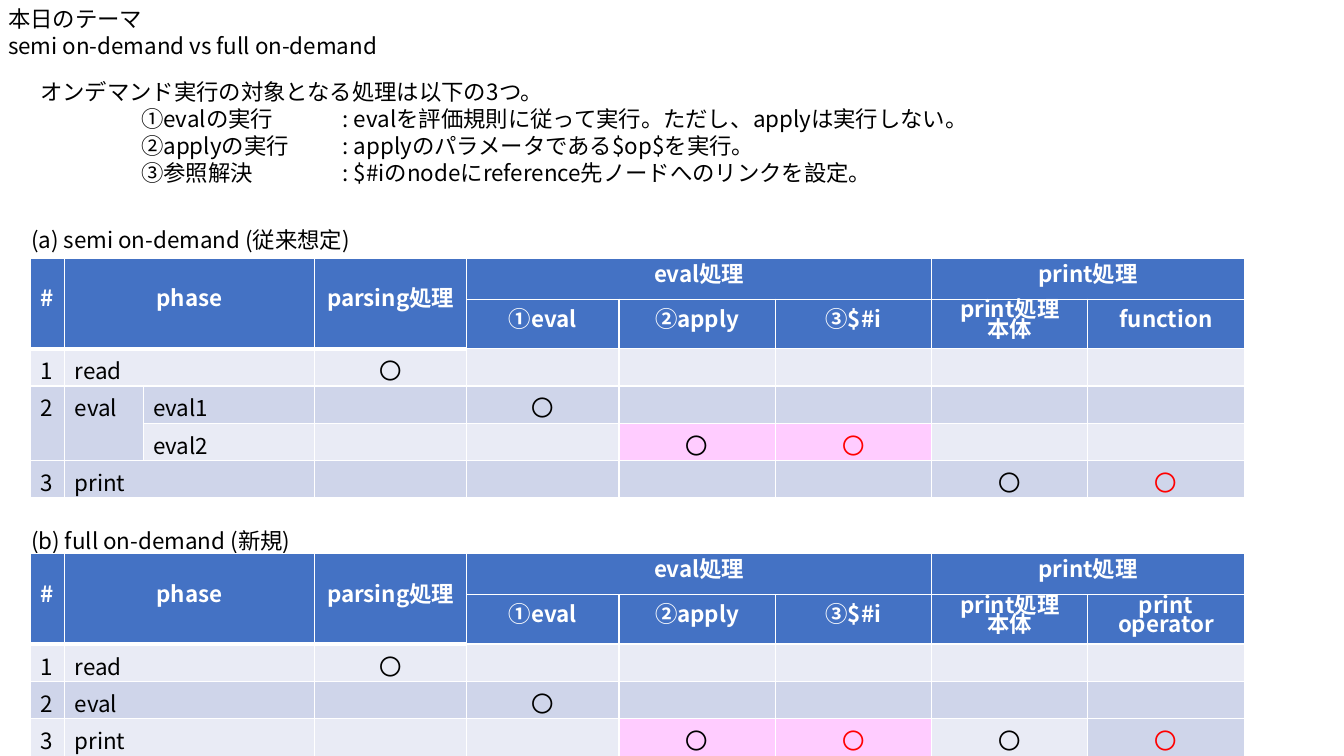
from dataclasses import dataclass

from lxml.etree import SubElement
from pptx import Presentation
from pptx.dml.color import RGBColor as RGB
from pptx.enum.text import MSO_ANCHOR as Anchor, MSO_AUTO_SIZE as AutoSize, PP_ALIGN as Align
from pptx.oxml.ns import qn
from pptx.util import Inches, Pt


@dataclass(frozen=True)
class Theme:
    font: str = "Noto Sans CJK JP"
    size: int = 16
    header_leading: int = 14
    text: str = "000000"
    inverse: str = "FFFFFF"
    alert: str = "FF0000"
    header: str = "4472C4"
    light: str = "E9EBF5"
    dark: str = "CFD5EA"
    highlight: str = "FFCCFF"
    border: str = "FFFFFF"
    thin: float = 1
    thick: float = 3


MARK = "〇"
HEADER_ROWS = 2


class SlideBuilder:
    def __init__(self, slide, theme):
        self.slide = slide
        self.theme = theme

    def style(self, paragraph, color=None, bold=False):
        for run in paragraph.runs:
            font = run.font
            font.name, font.size, font.bold = self.theme.font, Pt(self.theme.size), bold
            font.color.rgb = RGB.from_string(color or self.theme.text)
            SubElement(run._r.rPr, qn("a:ea"), typeface=self.theme.font)
        if not paragraph.runs:
            # An empty cell keeps the same line height as a filled one
            SubElement(paragraph._p, qn("a:endParaRPr"), sz=str(self.theme.size * 100))

    def fill_text(self, shape, text, box):
        shape.left, shape.top, shape.width, shape.height = map(Inches, box)
        frame = shape.text_frame
        frame.text = text
        frame.word_wrap = True
        frame.auto_size = AutoSize.NONE
        frame.vertical_anchor = Anchor.TOP
        for paragraph in frame.paragraphs:
            paragraph.alignment = Align.LEFT
            paragraph.line_spacing = 1.0
            paragraph.space_before = Pt(0)
            self.style(paragraph)
        return frame

    def title(self, text, box):
        self.fill_text(self.slide.shapes.title, text, box)

    def body(self, lead, items, box):
        frame = self.fill_text(self.slide.placeholders[1], "\n".join([lead, *items]), box)
        for number, paragraph in enumerate(frame.paragraphs):
            paragraph.level = 2 if number else 0
            props = paragraph._p.get_or_add_pPr()
            props.set("marL", str(Inches(1) if number else 0))
            props.set("indent", "0")
            props.set("defTabSz", str(Inches(1)))
            SubElement(props, qn("a:buNone"))

    def caption(self, text, box):
        self.fill_text(self.slide.shapes.add_textbox(0, 0, 0, 0), text, box)

    def borders(self, cell, bottom):
        props = cell._tc.get_or_add_tcPr()
        widths = dict.fromkeys(("lnL", "lnR", "lnT"), self.theme.thin) | {"lnB": bottom}
        for place, (side, width) in enumerate(widths.items()):
            line = SubElement(props, qn(f"a:{side}"), w=str(Pt(width)))
            solid = SubElement(line, qn("a:solidFill"))
            SubElement(solid, qn("a:srgbClr"), val=self.theme.border)
            props.insert(place, line)

    def table(self, top, columns, heights, rows, merges, red, fills):
        theme = self.theme
        table = self.slide.shapes.add_table(
            len(rows), len(columns), Inches(0.3), Inches(top),
            Inches(sum(columns)), Inches(sum(heights))).table
        for column, width in zip(table.columns, columns):
            column.width = Inches(width)
        for row, height in zip(table.rows, heights):
            row.height = Inches(height)
        tall_columns = {c for r, c, r2, c2 in merges if (r, r2) == (0, 1)
                        for c in range(c, c2 + 1)}
        for r, row in enumerate(rows):
            for c, text in enumerate(row):
                cell = table.cell(r, c)
                is_header = r < HEADER_ROWS
                band = theme.header if is_header else (theme.dark if r % 2 else theme.light)
                cell.fill.solid()
                cell.fill.fore_color.rgb = RGB.from_string(fills.get((r, c), band))
                self.borders(cell, theme.thick if is_header and c in tall_columns else theme.thin)
                cell.text_frame.text = text
                if is_header:
                    cell.vertical_anchor = Anchor.MIDDLE
                else:
                    cell.margin_bottom = Inches(0)
                color = theme.inverse if is_header else theme.alert if (r, c) in red else theme.text
                for paragraph in cell.text_frame.paragraphs:
                    paragraph.alignment = Align.CENTER if is_header or text == MARK else Align.LEFT
                    if is_header:
                        paragraph.line_spacing = Pt(theme.header_leading)
                    self.style(paragraph, color, is_header)
        for r, c, r2, c2 in merges:
            table.cell(r, c).merge(table.cell(r2, c2))


def main():
    theme = Theme()
    deck = Presentation()
    deck.slide_width, deck.slide_height = Inches(13.33), Inches(7.5)
    page = SlideBuilder(deck.slides.add_slide(deck.slide_layouts[1]), theme)

    # Theme of the day and the three kinds of processing
    page.title("本日のテーマ\nsemi on-demand vs full on-demand", (-0.02, 0, 4.19, 0.64))
    page.body("オンデマンド実行の対象となる処理は以下の3つ。", [
        "①evalの実行\t: evalを評価規則に従って実行。ただし、applyは実行しない。",
        "②applyの実行\t: applyのパラメータである$op$を実行。",
        "③参照解決\t: $#iのnodeにreference先ノードへのリンクを設定。",
    ], (0.3, 0.73, 11.18, 1.18))

    # Parts that both tables share
    header_heights, row_height = [0.41, 0.49], 0.37
    process_columns = [1.51] * 2 + [1.55] * 4
    groups = ["parsing処理", "eval処理", "", "", "print処理", ""]
    steps = ["", "①eval", "②apply", "③$#i", "print処理\n本体"]

    def marks(*positions):
        return [MARK if i in positions else "" for i in range(len(process_columns))]

    def header_merges(first):
        tall = [(0, 0, 1, 0), (0, 1, 1, first - 1), (0, first, 1, first)]
        return tall + [(0, first + 1, 0, first + 3), (0, first + 4, 0, first + 5)]

    # (a) Semi on-demand
    page.caption("(a) semi on-demand (従来想定)", (0.21, 2.19, 3.95, 0.37))
    page.table(
        2.56, [0.34, 0.78, 1.7] + process_columns, header_heights + [row_height] * 4,
        [["#", "phase", ""] + groups,
         ["", "", ""] + steps + ["function"],
         ["1", "read", ""] + marks(0),
         ["2", "eval", "eval1"] + marks(1),
         ["", "", "eval2"] + marks(2, 3),
         ["3", "print", ""] + marks(4, 5)],
        header_merges(3) + [(2, 1, 2, 2), (3, 0, 4, 0), (3, 1, 4, 1), (5, 1, 5, 2)],
        red={(4, 6), (5, 8)},
        fills={(4, 5): theme.highlight, (4, 6): theme.highlight})

    # (b) Full on-demand
    page.caption("(b) full on-demand (新規)", (0.21, 5.18, 3.95, 0.37))
    page.table(
        5.49, [0.34, 2.48] + process_columns, header_heights + [row_height] * 3,
        [["#", "phase"] + groups,
         ["", ""] + steps + ["print\noperator"],
         ["1", "read"] + marks(0),
         ["2", "eval"] + marks(1),
         ["3", "print"] + marks(2, 3, 4, 5)],
        header_merges(2),
        red={(4, 5), (4, 7)},
        fills={(4, 4): theme.highlight, (4, 5): theme.highlight, (4, 7): theme.dark})

    deck.save("out.pptx")


if __name__ == "__main__":
    main()
